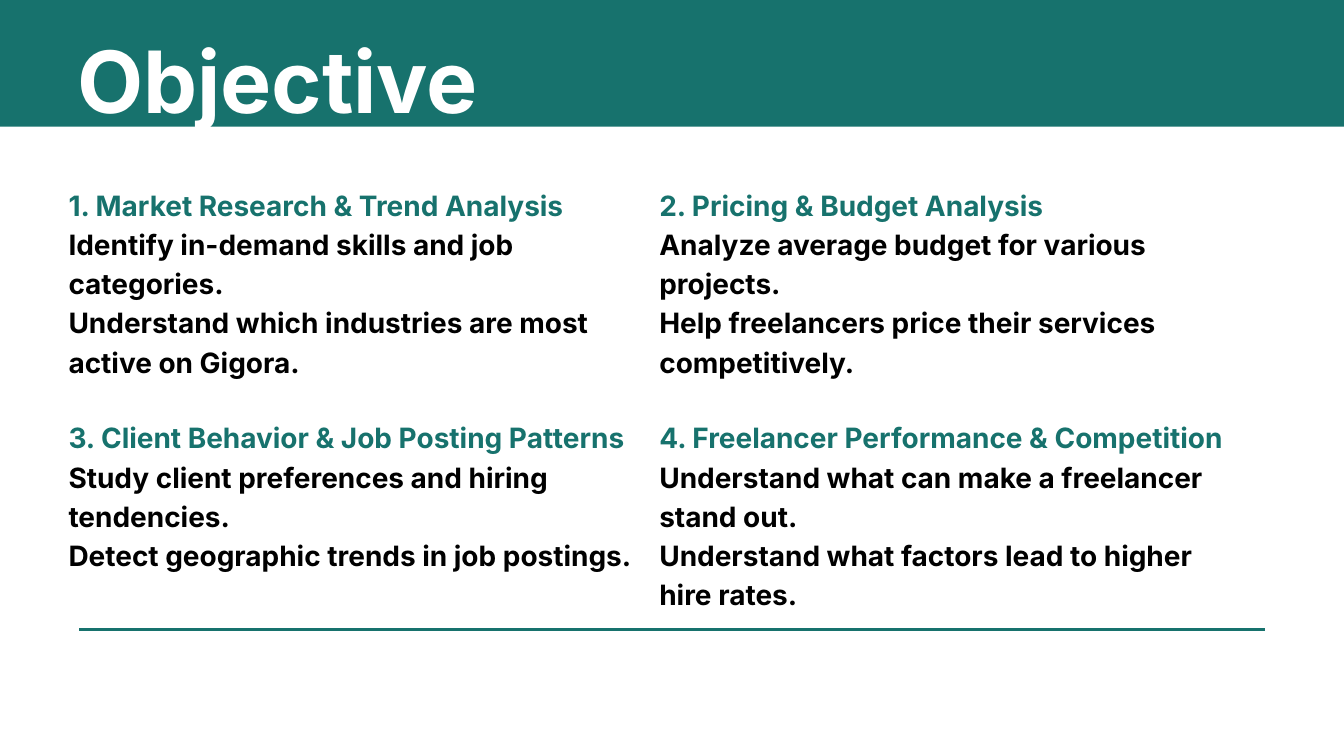
from dataclasses import dataclass

import lxml.etree
import pptx
import pptx.dml.color
import pptx.enum.shapes
import pptx.enum.text
import pptx.oxml.ns
import pptx.util

Cm = pptx.util.Cm
Pt = pptx.util.Pt

TEAL = "17726D"
WHITE = "FFFFFF"
BLACK = "000000"
FONT = "Inter"

LEFT_COLUMN, RIGHT_COLUMN = 2.59, 24.92
TOP_ROW, BOTTOM_ROW = 6.91, 15.7


@dataclass
class Objective:
    heading: str
    goals: list[str]
    left: float
    top: float
    width: float
    height: float = 7.39


OBJECTIVES = [
    Objective("1. Market Research & Trend Analysis",
              ["Identify in-demand skills and job categories.",
               "Understand which industries are most active on Gigora."],
              LEFT_COLUMN, TOP_ROW, 22),
    Objective("2. Pricing & Budget Analysis",
              ["Analyze average budget for various projects.",
               "Help freelancers price their services competitively."],
              RIGHT_COLUMN, TOP_ROW, 23.04),
    Objective("3. Client Behavior & Job Posting Patterns",
              ["Study client preferences and hiring tendencies.",
               "Detect geographic trends in job postings."],
              LEFT_COLUMN, BOTTOM_ROW, 21.64, 5.89),
    Objective("4. Freelancer Performance & Competition",
              ["Understand what can make a freelancer stand out.",
               "Understand what factors lead to higher hire rates."],
              RIGHT_COLUMN, BOTTOM_ROW, 22),
]


def rgb(color: str) -> pptx.dml.color.RGBColor:
    return pptx.dml.color.RGBColor.from_string(color)


def place(holder, left: float, top: float, width: float, height: float) -> None:
    """Move a placeholder and strip its margins, anchoring and fitting."""
    holder.left, holder.top = Cm(left), Cm(top)
    holder.width, holder.height = Cm(width), Cm(height)
    frame = holder.text_frame
    frame.margin_left = frame.margin_top = frame.margin_right = frame.margin_bottom = 0
    frame.vertical_anchor = pptx.enum.text.MSO_ANCHOR.TOP
    frame.auto_size = pptx.enum.text.MSO_AUTO_SIZE.NONE
    frame.word_wrap = True


def format_paragraph(paragraph, size: float, spacing: float, color: str) -> None:
    paragraph.line_spacing = Pt(spacing)
    paragraph.space_before = Pt(0)
    for run in paragraph.runs:
        run.font.name = FONT
        run.font.size = Pt(size)
        run.font.bold = True
        run.font.color.rgb = rgb(color)


def remove_bullet(paragraph) -> None:
    properties = paragraph._p.get_or_add_pPr()
    properties.set("marL", "0")
    properties.set("indent", "0")
    lxml.etree.SubElement(properties, pptx.oxml.ns.qn("a:buNone"))


def fill_objective(holder, objective: Objective) -> None:
    place(holder, objective.left, objective.top, objective.width, objective.height)
    holder.text_frame.text = "\n".join([objective.heading, *objective.goals])
    for index, paragraph in enumerate(holder.text_frame.paragraphs):
        remove_bullet(paragraph)
        paragraph.alignment = pptx.enum.text.PP_ALIGN.LEFT
        format_paragraph(paragraph, 30, 42, BLACK if index else TEAL)


def main() -> None:
    deck = pptx.Presentation()
    deck.slide_width, deck.slide_height = Cm(50.8), Cm(28.58)
    comparison_layout = deck.slide_layouts[4]
    slide = deck.slides.add_slide(comparison_layout)
    slide.background.fill.solid()
    slide.background.fill.fore_color.rgb = rgb(WHITE)

    # Header band, sent behind the title
    band = slide.shapes.add_shape(pptx.enum.shapes.MSO_SHAPE.RECTANGLE,
                                  Cm(0), Cm(-1.02), Cm(59.18), Cm(5.81))
    band.shadow.inherit = False
    band.fill.solid()
    band.fill.fore_color.rgb = rgb(TEAL)
    band.line.fill.background()
    slide.shapes._spTree.insert(2, band._element)

    # Title
    title = slide.shapes.title
    place(title, 2.84, 0.41, 15.32, 4.37)
    title.text_frame.text = "Objective"
    heading = title.text_frame.paragraphs[0]
    heading.alignment = pptx.enum.text.PP_ALIGN.CENTER
    format_paragraph(heading, 92, 128.8, WHITE)

    # Four objectives
    for number, objective in enumerate(OBJECTIVES, start=1):
        fill_objective(slide.placeholders[number], objective)

    # Closing rule
    rule = slide.shapes.add_connector(pptx.enum.shapes.MSO_CONNECTOR.STRAIGHT,
                                      Cm(3), Cm(23.8), Cm(47.8), Cm(23.8))
    rule.line.color.rgb = rgb(TEAL)
    rule.line.width = Pt(3)
    lxml.etree.SubElement(rule._element.spPr, pptx.oxml.ns.qn("a:effectLst"))

    deck.save("out.pptx")


if __name__ == "__main__":
    main()
